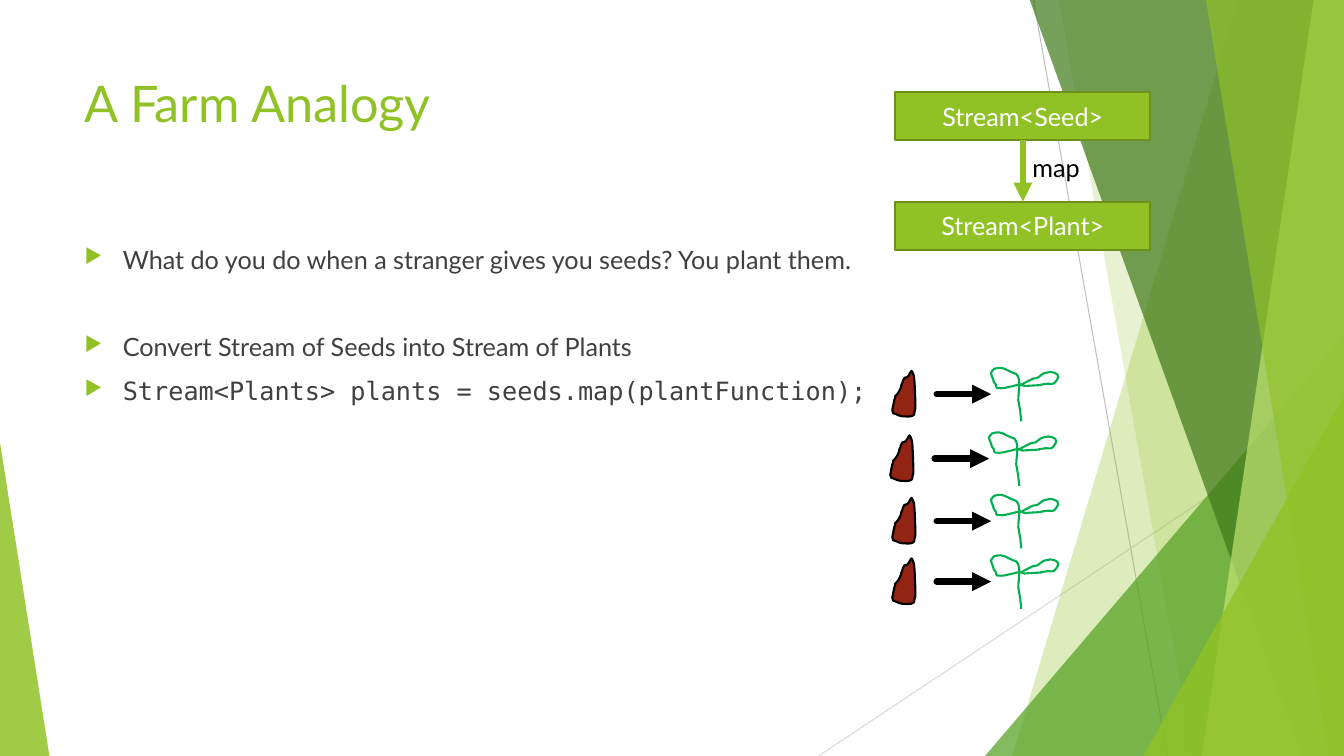
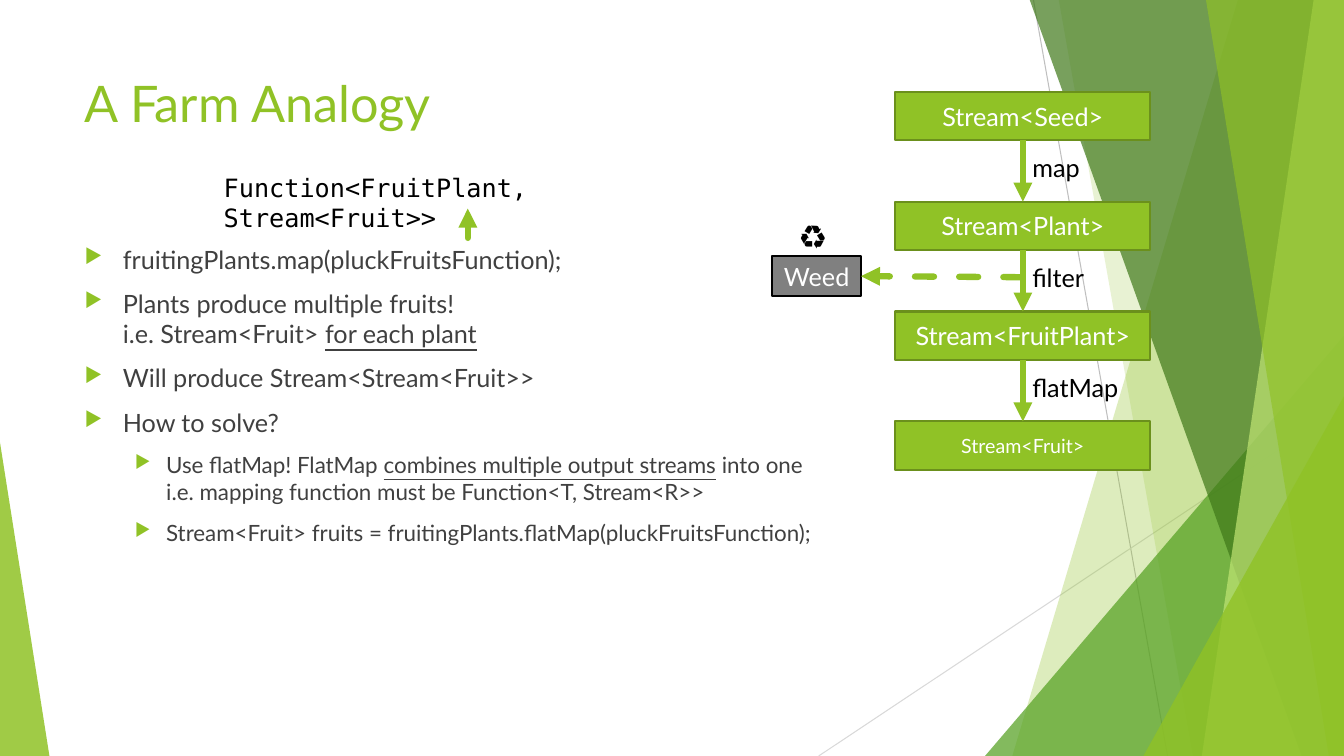
from lxml.etree import SubElement
from pptx import Presentation
from pptx.dml.color import RGBColor
from pptx.enum.dml import MSO_LINE
from pptx.enum.shapes import MSO_CONNECTOR, MSO_SHAPE
from pptx.enum.text import MSO_ANCHOR, PP_ALIGN
from pptx.oxml.ns import qn
from pptx.util import Pt

PX = 9144  # EMU in one px, 100 px to the inch
WIDTH, HEIGHT = 1333, 750
TITLE_ONLY = 5

GREEN = RGBColor(0x90, 0xC2, 0x26)
EDGE_GREEN = RGBColor(0x6B, 0x90, 0x1C)
MID_GREEN = RGBColor(0x54, 0xA0, 0x21)
DARK_GREEN = RGBColor(0x3F, 0x78, 0x19)
PALE_GREEN = RGBColor(0xC0, 0xE4, 0x74)
SPROUT_GREEN = RGBColor(0x00, 0xB0, 0x50)
SEED_BROWN = RGBColor(0x93, 0x23, 0x13)
TEXT_GRAY = RGBColor(0x40, 0x40, 0x40)
WEED_GRAY = RGBColor(0x80, 0x80, 0x80)
RULE_GRAY = RGBColor(0xBF, 0xBF, 0xBF)
LIGHT_GRAY = RGBColor(0xD9, 0xD9, 0xD9)
BLACK = RGBColor(0, 0, 0)
WHITE = RGBColor(0xFF, 0xFF, 0xFF)

SANS, MONO, SYMBOL, BULLET = "Lato", "DejaVu Sans Mono", "Roboto", "OpenSymbol"

# Flow chart of streams
FLOW_LEFT, FLOW_TOP, FLOW_PITCH = 888, 91, 109
BOX_WIDTH, BOX_HEIGHT = 253, 48
FLOW_MIDDLE = 1014

# Cubic curves: a start point, then two controls and an end for each curve
SEED = [
    (20, 1), (19, -3), (17, 5), (15, 6), (14, 7), (13, 7), (12, 7),
    (11, 9), (10, 10), (10, 12), (7, 18), (11, 11), (7, 20),
    (6, 22), (4, 24), (3, 25), (3, 26), (3, 27), (2, 29),
    (1, 33), (1, 34), (0, 39), (1, 40), (0, 41), (1, 42),
    (2, 43), (3, 43), (4, 43), (6, 44), (8, 45), (10, 45),
    (14, 45), (18, 46), (21, 44), (22, 44), (22, 42), (22, 41),
    (23, 39), (23, 36), (23, 34), (22, 4), (22, 6), (20, 1),
]
SPROUT = [
    (128, 50), (128, 47), (127, 43), (127, 40), (126, 36), (126, 33), (125, 29),
    (125, 24), (126, 19), (126, 14), (126, 11), (126, 6), (123, 3),
    (122, 3), (121, 3), (120, 2), (107, -4), (115, -1), (108, -3),
    (106, -3), (103, -3), (101, -2), (99, -1), (99, 1), (98, 2),
    (98, 4), (99, 6), (100, 8), (100, 11), (101, 11), (103, 14),
    (103, 15), (103, 17), (104, 17), (111, 18), (114, 16), (120, 15),
    (122, 14), (124, 14), (127, 14), (134, 11), (125, 15), (135, 10),
    (138, 8), (141, 7), (144, 7), (152, 1), (148, 3), (157, 1),
    (162, 2), (169, 3), (161, 12), (159, 14), (155, 12), (152, 13),
    (136, 15), (165, 13), (131, 15), (126, 13), (129, 14), (123, 14),
]
SEED_ROWS = [(885, 368), (883, 432), (885, 494), (885, 554)]


def px(*lengths):
    return [length * PX for length in lengths]


def style_font(font, size, color, name=SANS):
    font.size = Pt(size)
    font.color.rgb = color
    font.name = name


def style_shape(shape, fill=None, line=None, alpha=None):
    shape.shadow.inherit = False
    if fill is None:
        shape.fill.background()
    else:
        shape.fill.solid()
        shape.fill.fore_color.rgb = fill
    if alpha is not None:
        color = shape.element.spPr.find(".//" + qn("a:srgbClr"))
        SubElement(color, qn("a:alpha"), val=str(alpha * 1000))
    if line is None:
        shape.line.fill.background()
    else:
        shape.line.color.rgb = line
        shape.line.width = Pt(1.5)


def add_line(shapes, start, end, color, width):
    line = shapes.add_connector(MSO_CONNECTOR.STRAIGHT, *px(*start, *end))
    line.line.color.rgb = color
    line.line.width = Pt(width)
    SubElement(line.element.spPr, qn("a:effectLst"))
    return line


def add_arrow(shapes, start, end, color=GREEN, dashed=False, rounded=True):
    arrow = add_line(shapes, start, end, color, 4.5)
    if dashed:
        arrow.line.dash_style = MSO_LINE.DASH
    outline = arrow.element.spPr.find(qn("a:ln"))
    if rounded:
        outline.set("cap", "rnd")
    SubElement(outline, qn("a:tailEnd"), type="triangle")
    return arrow


def add_outline(shapes, points, close=True):
    """Draw straight segments through points given in px."""
    start, *rest = [tuple(px(*point)) for point in points]
    builder = shapes.build_freeform(*start)
    builder.add_line_segments(rest, close=close)
    return builder.convert_to_shape()


def add_curve(shapes, knots, left, top, close=True):
    """Draw an outline through the curve ends, then bend its segments."""
    points = [(left + x, top + y) for x, y in knots]
    shape = add_outline(shapes, points[::3], close)
    segments = list(shape.element.iter(qn("a:lnTo")))
    for index, segment in enumerate(segments[:len(points) // 3]):
        curve = segment.makeelement(qn("a:cubicBezTo"))
        for x, y in points[3 * index + 1:3 * index + 4]:
            SubElement(curve, qn("a:pt"),
                       x=str(x * PX - shape.left), y=str(y * PX - shape.top))
        segment.getparent().replace(segment, curve)
    return shape


def add_band(shapes, top_x, bottom_x, color, alpha):
    """Band from a slanted left side to the right edge of the slide."""
    band = add_outline(shapes, [(top_x, -1), (WIDTH, -1), (WIDTH, HEIGHT), (bottom_x, HEIGHT)])
    style_shape(band, color, alpha=alpha)


def add_corner(shapes, left, top, width, color, alpha, apex):
    """Right triangle standing on the bottom of the slide."""
    corner = shapes.add_shape(
        MSO_SHAPE.ISOSCELES_TRIANGLE, *px(left, top, width, HEIGHT - top))
    corner.adjustments[0] = apex
    style_shape(corner, color, alpha=alpha)


def add_backdrop(layout, slide):
    """Draw the backdrop as a group, then move it into the layout."""
    group = slide.shapes.add_group_shape()
    shapes = group.shapes
    add_line(shapes, (1025, 0), (1158, HEIGHT), RULE_GRAY, 0.75)
    add_line(shapes, (WIDTH, 403), (812, HEIGHT), LIGHT_GRAY, 0.75)
    add_band(shapes, 1228, 1004, GREEN, 30)
    add_band(shapes, 1050, 1183, GREEN, 20)
    add_corner(shapes, 977, 333, 356, MID_GREEN, 72, apex=1)
    add_band(shapes, 1021, 1291, DARK_GREEN, 70)
    add_band(shapes, 1303, 1192, PALE_GREEN, 70)
    add_band(shapes, 1196, 1318, GREEN, 65)
    add_corner(shapes, 1134, 393, 199, GREEN, 80, apex=1)
    add_corner(shapes, 0, 439, 49, GREEN, 85, apex=0)
    for number, properties in enumerate(group.element.iter(qn("p:cNvPr")), 100):
        properties.set("id", str(number))
    layout.shapes.element.insert(2, group.element)


def set_title(slide, text):
    title = slide.shapes.title
    title.left, title.top, title.width, title.height = px(74, 67, 940, 144)
    title.text_frame.text = text
    title.text_frame.vertical_anchor = MSO_ANCHOR.TOP
    paragraph = title.text_frame.paragraphs[0]
    paragraph.alignment = PP_ALIGN.LEFT
    style_font(paragraph.font, 36, GREEN)


def set_bullet(paragraph, margin, hanging):
    properties = paragraph._p.get_or_add_pPr()
    properties.set("marL", str(margin * PX))
    properties.set("indent", str(-hanging * PX))
    color = SubElement(properties, qn("a:buClr"))
    SubElement(color, qn("a:srgbClr"), val=str(GREEN))
    SubElement(properties, qn("a:buSzPct"), val="80000")
    SubElement(properties, qn("a:buFont"), typeface=BULLET)
    SubElement(properties, qn("a:buChar"), char="▶")


def add_runs(paragraph, text):
    """Underline what stands between underscores; break at line ends."""
    for part, piece in enumerate(text.split("_")):
        for row, words in enumerate(piece.split("\n")):
            if row:
                paragraph.add_line_break()
            if words:
                run = paragraph.add_run()
                run.text = words
                if part % 2:
                    run.font.underline = True


def add_bullets(slide, items):
    """Each item is text, level, font name and space before."""
    frame = slide.shapes.add_textbox(*px(74, 237, 940, 424)).text_frame
    frame.word_wrap = True
    for index, (text, level, name, space) in enumerate(items):
        paragraph = frame.add_paragraph() if index else frame.paragraphs[0]
        paragraph.level = level
        paragraph.space_before = Pt(space)
        set_bullet(paragraph, *((81, 31) if level else (38, 38)))
        style_font(paragraph.font, 16 if level else 18, TEXT_GRAY, name)
        add_runs(paragraph, text)


def add_label(slide, text, left, top, width, name=SANS, wrap=False):
    frame = slide.shapes.add_textbox(*px(left, top, width, 40)).text_frame
    frame.word_wrap = wrap
    frame.text = text
    style_font(frame.paragraphs[0].font, 18, BLACK, name)


def add_box(slide, text, place, fill=GREEN, line=EDGE_GREEN, size=18):
    box = slide.shapes.add_shape(MSO_SHAPE.RECTANGLE, *px(*place))
    style_shape(box, fill, line)
    box.text_frame.text = text
    box.text_frame.vertical_anchor = MSO_ANCHOR.MIDDLE
    paragraph = box.text_frame.paragraphs[0]
    paragraph.alignment = PP_ALIGN.CENTER
    style_font(paragraph.font, size, WHITE)
    return box


def add_flow(slide, streams, steps):
    """Stack stream boxes, joined by arrows labelled with (name, width)."""
    previous = None
    for index, (stream, size) in enumerate(streams):
        top = FLOW_TOP + index * FLOW_PITCH
        box = add_box(slide, stream, (FLOW_LEFT, top, BOX_WIDTH, BOX_HEIGHT), size=size)
        if previous is not None:
            bottom = top - FLOW_PITCH + BOX_HEIGHT
            arrow = add_arrow(slide.shapes, (FLOW_MIDDLE, bottom), (FLOW_MIDDLE, top),
                              rounded=False)
            arrow.begin_connect(previous, 2)
            arrow.end_connect(box, 0)
            step, width = steps[index - 1]
            add_label(slide, step, FLOW_MIDDLE, bottom + 7, width)
        previous = box


def add_seed_row(slide, left, top):
    seed = add_curve(slide.shapes, SEED, left, top)
    style_shape(seed, SEED_BROWN, BLACK)
    sprout = add_curve(slide.shapes, SPROUT, left, top, close=False)
    style_shape(sprout, line=SPROUT_GREEN)
    add_arrow(slide.shapes, (left + 44, top + 23), (left + 98, top + 23), BLACK)


def fill_map_slide(slide):
    add_bullets(slide, [
        ("What do you do when a stranger gives you seeds? You plant them.", 0, SANS, 10),
        ("Convert Stream of Seeds into Stream of Plants", 0, SANS, 41),
        ("Stream<Plants> plants = seeds.map(plantFunction);", 0, MONO, 10),
    ])
    add_flow(slide, [("Stream<Seed>", 18), ("Stream<Plant>", 18)], [("map", 69)])
    for left, top in SEED_ROWS:
        add_seed_row(slide, left, top)


def fill_flat_map_slide(slide):
    add_bullets(slide, [
        ("fruitingPlants.map(pluckFruitsFunction);", 0, SANS, 10),
        ("Plants produce multiple fruits!\ni.e. Stream<Fruit> _for each plant_", 0, SANS, 10),
        ("Will produce Stream<Stream<Fruit>>", 0, SANS, 10),
        ("How to solve?", 0, SANS, 10),
        ("Use flatMap! FlatMap _combines multiple output streams_ into one\n"
         "i.e. mapping function must be Function<T, Stream<R>>", 1, SANS, 10),
        ("Stream<Fruit> fruits = fruitingPlants.flatMap(pluckFruitsFunction);", 1, SANS, 10),
    ])
    add_flow(slide,
             [("Stream<Seed>", 18), ("Stream<Plant>", 18),
              ("Stream<FruitPlant>", 18), ("Stream<Fruit>", 14)],
             [("map", 69), ("filter", 78), ("flatMap", 105)])

    # Plants that the filter drops
    weed = add_box(slide, "Weed", (766, 254, 88, 40), WEED_GRAY, BLACK)
    add_label(slide, "♻️", 784, 213, 52, SYMBOL)
    dropped = add_arrow(slide.shapes, (FLOW_MIDDLE, 275), (854, 274), dashed=True)
    dropped.end_connect(weed, 3)

    # Type of the mapping function
    add_label(slide, "Function<FruitPlant, Stream<Fruit>>", 212, 166, 505, MONO, wrap=True)
    add_arrow(slide.shapes, (464, 236), (464, 207))


def main():
    presentation = Presentation()
    presentation.slide_width, presentation.slide_height = px(WIDTH, HEIGHT)
    layout = presentation.slide_layouts[TITLE_ONLY]
    for index, fill_slide in enumerate((fill_map_slide, fill_flat_map_slide)):
        slide = presentation.slides.add_slide(layout)
        if index == 0:
            add_backdrop(layout, slide)
        set_title(slide, "A Farm Analogy")
        fill_slide(slide)
    presentation.save("out.pptx")


if __name__ == "__main__":
    main()
